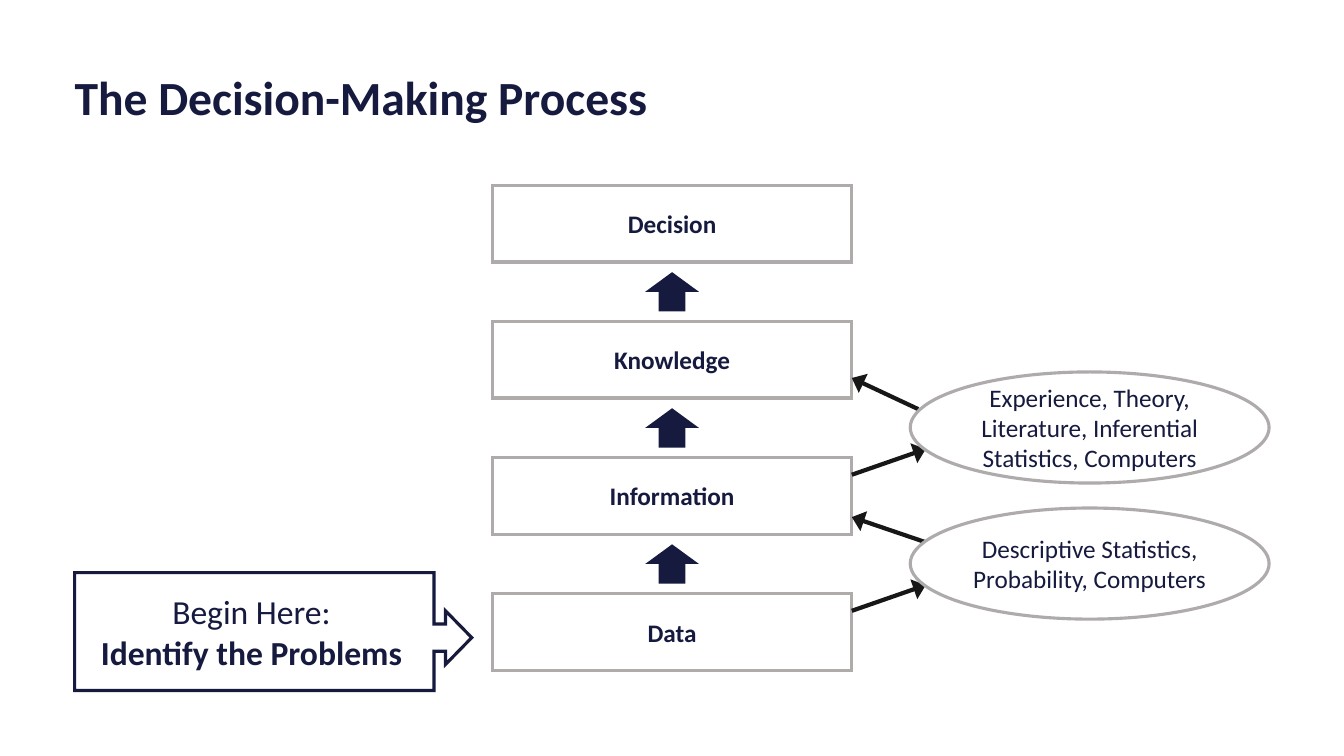
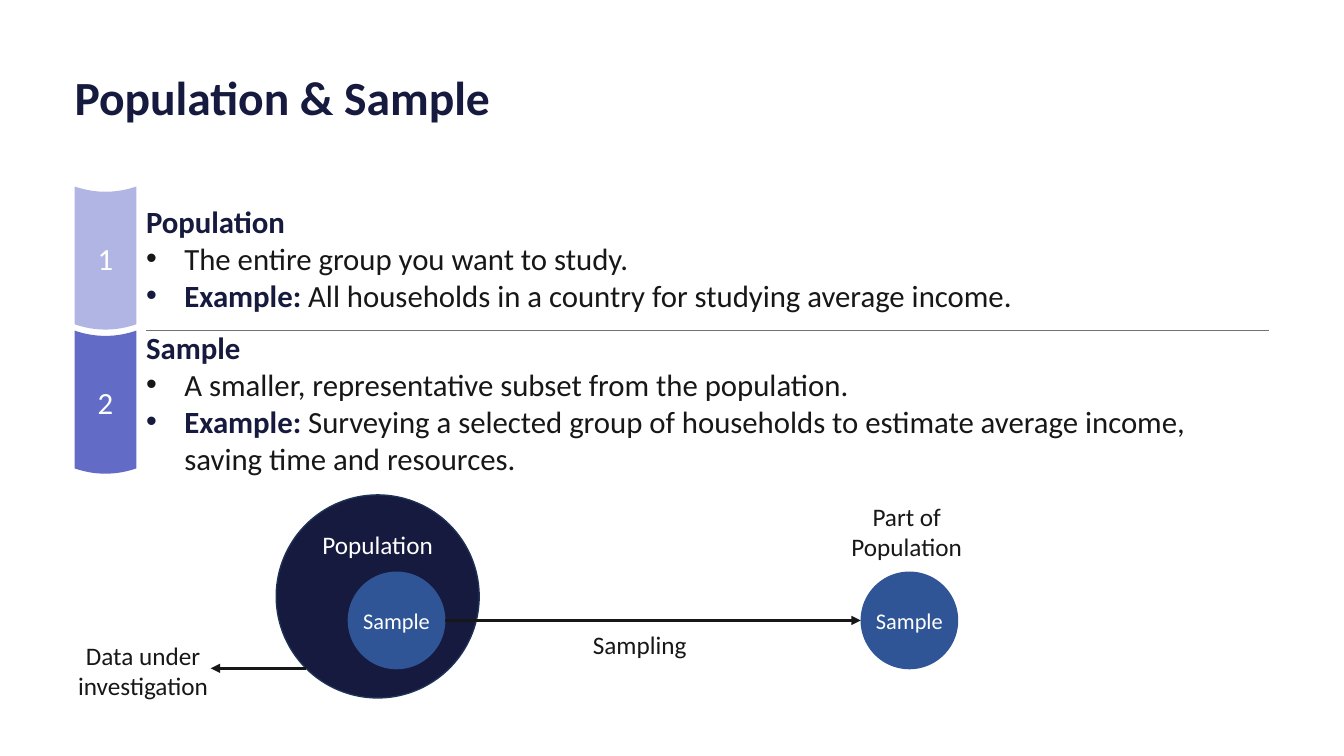
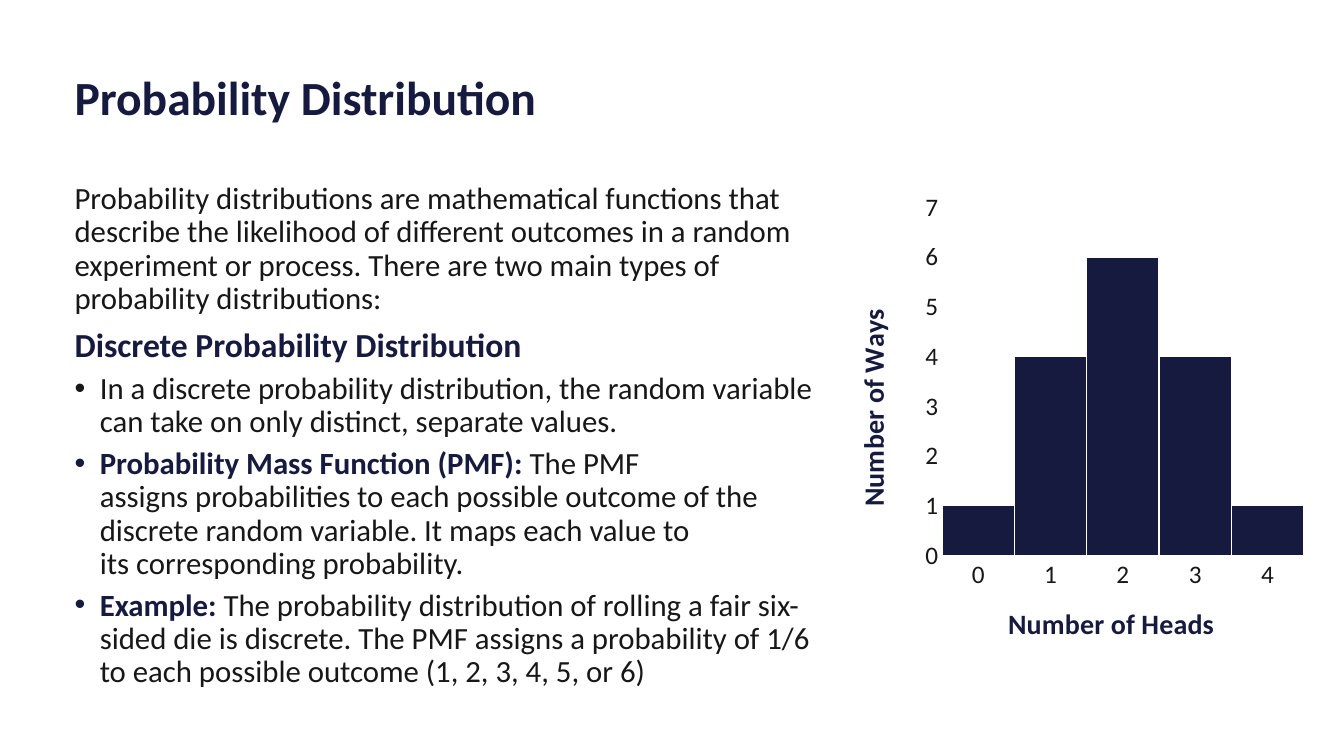
from lxml import etree
from pptx import Presentation
from pptx.chart.data import CategoryChartData
from pptx.dml.color import RGBColor
from pptx.enum.chart import XL_CHART_TYPE, XL_TICK_MARK
from pptx.enum.shapes import MSO_CONNECTOR, MSO_SHAPE
from pptx.enum.text import MSO_ANCHOR, MSO_AUTO_SIZE, PP_ALIGN
from pptx.oxml.ns import qn
from pptx.util import Inches, Pt

FONT = "Calibri"
NAVY = RGBColor(0x16, 0x1A, 0x3E)
INK = RGBColor(0x18, 0x17, 0x17)
WHITE = RGBColor(0xFF, 0xFF, 0xFF)
GREY = RGBColor(0xAF, 0xAB, 0xAB)
RULE = RGBColor(0x76, 0x71, 0x71)
LILAC = RGBColor(0xB0, 0xB5, 0xE3)
VIOLET = RGBColor(0x62, 0x6C, 0xC7)
BLUE = RGBColor(0x2F, 0x55, 0x97)
EDGE = RGBColor(0x1E, 0x32, 0x56)
PALE = RGBColor(0xD0, 0xD3, 0xEE)
ORANGE = RGBColor(0xED, 0x7D, 0x31)
SLATE = RGBColor(0x44, 0x54, 0x6A)

WIDE, HIGH = Inches(13.33), Inches(7.5)
LEFT, TOP, SPAN = 5.55, 24.53, 88.9
TITLE = (LEFT, 8.8, SPAN, 8.93)


def col(n):
    """Length of n columns; the slide is 100 columns wide."""
    return round(WIDE * n / 100)


def row(n):
    """Length of n rows; the slide is 100 rows high."""
    return round(HIGH * n / 100)


def area(box):
    x, y, w, h = box
    return col(x), row(y), col(w), row(h)


def tie(text):
    """Join words with no-break spaces."""
    return text.replace(" ", chr(160))


def style(font, size, color, bold=False):
    font.name, font.size, font.bold = FONT, Pt(size), bold
    font.color.rgb = color


def setup(frame, anchor=MSO_ANCHOR.MIDDLE, wrap=True, inset=0):
    frame.word_wrap = wrap
    frame.auto_size = MSO_AUTO_SIZE.NONE
    frame.vertical_anchor = anchor
    frame.margin_left = frame.margin_right = Inches(2 * inset)
    frame.margin_top = frame.margin_bottom = Inches(inset)


def mark(par, dent):
    """Give the paragraph a bullet hung by dent inches, or none at 0."""
    props = par._p.get_or_add_pPr()
    props.set("marL", str(Inches(dent)))
    props.set("indent", str(-Inches(dent)))
    if dent:
        etree.SubElement(props, qn("a:buFont")).set("typeface", "Arial")
        etree.SubElement(props, qn("a:buChar")).set("char", "•")
    else:
        etree.SubElement(props, qn("a:buNone"))


def write(frame, pars, size, align=PP_ALIGN.CENTER):
    """Write paragraphs, each a list of (text, colour, bold) runs."""
    made = []
    for i, runs in enumerate(pars):
        par = frame.add_paragraph() if i else frame.paragraphs[0]
        par.alignment = align
        for text, color, bold in runs:
            run = par.add_run()
            run.text = text
            style(run.font, size, color, bold)
        made.append(par)
    return made


def paint(shape, fill, line=None, width=1):
    shape.shadow.inherit = False
    shape.fill.solid()
    shape.fill.fore_color.rgb = fill
    if line is None:
        shape.line.fill.background()
    else:
        shape.line.color.rgb, shape.line.width = line, Pt(width)
        etree.SubElement(shape.line._get_or_add_ln(), qn("a:miter")).set("lim", "800000")


def form(slide, kind, box, fill, line=None, width=2.25):
    shape = slide.shapes.add_shape(kind, *area(box))
    paint(shape, fill, line, width)
    setup(shape.text_frame)
    return shape


def trace(slide, points, fill, line=None, width=2.25):
    """Draw a closed outline through points given in columns and rows."""
    first, *rest = [(col(x), row(y)) for x, y in points]
    pen = slide.shapes.build_freeform(*first)
    pen.add_line_segments(rest, close=True)
    shape = pen.convert_to_shape()
    paint(shape, fill, line, width)
    setup(shape.text_frame)
    return shape


def link(slide, start, end, color=INK, width=2.25, head="med"):
    """Draw a line whose arrowhead has the given breadth, or none."""
    line = slide.shapes.add_connector(
        MSO_CONNECTOR.STRAIGHT, col(start[0]), row(start[1]), col(end[0]), row(end[1]))
    line.line.color.rgb, line.line.width = color, Pt(width)
    if head:
        tail = etree.SubElement(line.line._get_or_add_ln(), qn("a:tailEnd"))
        tail.set("type", "triangle")
        tail.set("w", head)
    etree.SubElement(line._element.spPr, qn("a:effectLst"))


def label(slide, box, pars, size=18, align=PP_ALIGN.CENTER, anchor=MSO_ANCHOR.TOP):
    frame = slide.shapes.add_textbox(*area(box)).text_frame
    setup(frame, anchor)
    return write(frame, pars, size, align)


def settle(holder, box):
    holder.left, holder.top, holder.width, holder.height = area(box)


def start(deck, layout, title):
    slide = deck.slides.add_slide(deck.slide_layouts[layout])
    settle(slide.shapes.title, TITLE)
    frame = slide.shapes.title.text_frame
    setup(frame)
    write(frame, [[(title, NAVY, True)]], 34, PP_ALIGN.LEFT)[0].line_spacing = 0.9
    return slide


# Decision process

def tower(slide, box, names, step):
    """Stack named steps with an arrow rising in each gap."""
    x, y, w, h = box
    for i, name in enumerate(names):
        top = y + i * step
        shape = form(slide, MSO_SHAPE.RECTANGLE, (x, top, w, h), WHITE, GREY)
        write(shape.text_frame, [[(name, NAVY, True)]], 18)
        if i:
            rise = (x + w / 2 - 2, top - 6.53, 4, 5.2)
            form(slide, MSO_SHAPE.UP_ARROW, rise, NAVY)


def source(slide, box, text, back):
    """Place an oval and its two arrows to the steps on its left."""
    x, y, w, h = box
    edge = x - 4.35
    link(slide, (edge, y + 13.6), (x + 1.15, y + 10.2), width=3, head="lg")
    link(slide, (x + back[0], y + back[1]), (edge, y + back[2]), width=3, head="lg")
    oval = form(slide, MSO_SHAPE.OVAL, box, WHITE, GREY)
    write(oval.text_frame, [[(text, NAVY, False)]], 18)


def callout(slide, box):
    x, y, w, h = box
    mid, side, neck = y + h / 2 + 0.8, x + w - 2.8, x + w - 1.95
    points = [(x, y), (side, y), (side, mid - 1.8), (neck, mid - 1.8),
              (neck, mid - 3.55), (x + w, mid), (neck, mid + 3.55),
              (neck, mid + 1.8), (side, mid + 1.8), (side, y + h), (x, y + h)]
    frame = trace(slide, points, WHITE, NAVY).text_frame
    frame.margin_right = Inches(0.43)
    write(frame, [[("Begin Here:", NAVY, False)],
                  [("Identify the Problems", NAVY, True)]], 24)


def process(deck):
    slide = start(deck, 5, "The Decision-Making Process")
    step = 18
    names = ["Decision", "Knowledge", "Information", "Data"]
    tower(slide, (36.66, TOP, 26.7, 10.13), names, step)
    callout(slide, (LEFT, 75.75, 29.55, 15.6))
    ovals = [("Descriptive Statistics, Probability, Computers", (1.15, 4.53, 1.2)),
             ("Experience, Theory, Literature, Inferential Statistics, Computers",
              (0.6, 4.93, 0.8))]
    for i, (text, back) in enumerate(ovals):
        source(slide, (67.73, 67.2 - i * step, 26.7, 14.7), text, back)


# Population and sample

def badge(slide, box, text, fill):
    """Draw a ribbon piece whose top and bottom edges sag."""
    x, y, w, h = box
    sag, cuts = 0.7, 16
    curve = [(x + w * i / cuts, y + sag * (1 - (2 * i / cuts - 1) ** 2))
             for i in range(cuts + 1)]
    low = [(a, b + h - sag) for a, b in reversed(curve)]
    shape = trace(slide, curve + low, fill)
    write(shape.text_frame, [[(text, WHITE, False)]], 22)


def term(slide, box, num, fill, name, fact, case):
    x, y, w, h = box
    badge(slide, (x, y, 4.6, h), num, fill)
    pars = [[(name, NAVY, True)], [(fact, INK, False)],
            [("Example: ", NAVY, True), (case, INK, False)]]
    made = label(slide, (x + 5.32, y + 0.67, w - 5.32, 17.6), pars, 22,
                 PP_ALIGN.LEFT, MSO_ANCHOR.MIDDLE)
    for par in made[1:]:
        mark(par, 0.38)


def sampling(slide, box):
    x, y, w, h = box
    whole = form(slide, MSO_SHAPE.OVAL, (x + 15, y, 15.1, h), NAVY, EDGE, 1)
    setup(whole.text_frame, MSO_ANCHOR.TOP, inset=0.05)
    write(whole.text_frame, [[("Population", WHITE, False)]], 18)
    for dx in (20.32, 58.48):
        dot = form(slide, MSO_SHAPE.OVAL, (x + dx, y + 10.13, 7.27, 12.93), BLUE)
        setup(dot.text_frame, wrap=False)
        write(dot.text_frame, [[("Sample", WHITE, False)]], 16)
    link(slide, (x + 27.6, y + 16.6), (x + 58.5, y + 16.6))
    link(slide, (x + 17.2, y + 22.93), (x + 10.13, y + 22.93))
    for dx, dy, rows, text in [(36.98, 17.75, 4, "Sampling"),
                               (0.03, 19.2, 8.13, "Data under investigation"),
                               (56.85, 0.85, 8.13, "Part of Population")]:
        label(slide, (x + dx, y + dy, 10.13, rows), [[(text, INK, False)]])


def groups(deck):
    slide = start(deck, 5, "Population & Sample")
    terms = [("1", LILAC, "Population", "The entire group you want to study.",
              "All households in a country for studying average income."),
             ("2", VIOLET, "Sample",
              "A smaller, representative subset from the population.",
              "Surveying a selected group of households to estimate average income, "
              "saving time and resources.")]
    for i, item in enumerate(terms):
        term(slide, (LEFT, 24.67 + i * 19.07, SPAN, 18.93), *item)
    link(slide, (10.87, 43.73), (LEFT + SPAN, 43.73), RULE, 0.5, head=None)
    sampling(slide, (LEFT, 65.47, SPAN, 26.85))


# Probability distribution

def prose(holder, box):
    settle(holder, box)
    frame = holder.text_frame
    setup(frame, MSO_ANCHOR.TOP)
    pars = [
        [("Probability distributions are mathematical functions that describe the "
          "likelihood of different outcomes in a random experiment or process. "
          "There are two main types of probability distributions:", INK, False)],
        [("Discrete Probability Distribution", NAVY, True)],
        [("In a discrete probability distribution, the " + tie("random variable")
          + " can take on only distinct, " + tie("separate values."), INK, False)],
        [("Probability Mass Function " + tie("(PMF): "), NAVY, True),
         ("The PMF " + tie("assigns probabilities")
          + " to each possible outcome of the " + tie("discrete random")
          + " variable. It maps each value to "
          + tie("its corresponding probability."), INK, False)],
        [("Example: ", NAVY, True),
         ("The probability distribution of rolling a " + tie("fair six-sided")
          + " die is discrete. The PMF assigns a " + tie("probability of")
          + " 1/6 to each possible outcome (1, 2, 3, 4, 5, or 6)", INK, False)]]
    for i, par in enumerate(write(frame, pars, 22, PP_ALIGN.LEFT)):
        mark(par, 0.25 if i > 1 else 0)
        par.line_spacing = 1.0 if i == 1 else 0.9
        par.space_before, par.space_after = Pt(3 if i else 0), Pt(3)
        if i == 1:
            par.runs[0].font.size = Pt(24)


def pin(node, index, **spots):
    """Fix the place of a chart part by shares of the chart's size."""
    for old in node.findall(qn("c:layout")):
        node.remove(old)
    layout = etree.Element(qn("c:layout"))
    manual = etree.SubElement(layout, qn("c:manualLayout"))
    if "w" in spots:
        etree.SubElement(manual, qn("c:layoutTarget")).set("val", "inner")
    for key in "xy":
        etree.SubElement(manual, qn(f"c:{key}Mode")).set("val", "edge")
    for key, value in spots.items():
        etree.SubElement(manual, qn(f"c:{key}")).set("val", str(value))
    node.insert(index, layout)


def scale(axis, title, line, tick, x, y, turn=0):
    axis.has_major_gridlines = False
    axis.major_tick_mark, axis.minor_tick_mark = tick, XL_TICK_MARK.NONE
    axis.format.line.color.rgb, axis.format.line.width = line, Pt(0.75)
    style(axis.tick_labels.font, 18, INK)
    frame = axis.axis_title.text_frame
    write(frame, [[(title, NAVY, True)]], 20)
    node = axis.axis_title.element
    node.find(".//" + qn("a:bodyPr")).set("rot", str(turn * 60000))
    pin(node, 1, x=x, y=y)


def heads(slide, box):
    data = CategoryChartData()
    data.categories = ["0", "1", "2", "3", "4"]
    data.add_series("Series 1", (1, 4, 6, 4, 1))
    for name in ("Series 2", "Series 3"):
        data.add_series(name, [None] * 5)
    chart = slide.shapes.add_chart(XL_CHART_TYPE.COLUMN_STACKED, *area(box), data).chart
    chart.has_legend = chart.has_title = False
    style(chart.font, 10, NAVY)
    plot = chart.plots[0]
    plot.gap_width, plot.overlap, plot.vary_by_categories = 0, 100, False
    for bars, color in zip(plot.series, (NAVY, ORANGE, SLATE)):
        bars.format.fill.solid()
        bars.format.fill.fore_color.rgb = color
    edge = plot.series[0].format.line
    edge.color.rgb, edge.width = WHITE, Pt(1)
    ways = chart.value_axis
    ways.minimum_scale, ways.maximum_scale, ways.major_unit = 0, 7, 1
    scale(chart.category_axis, "Number of Heads", PALE, XL_TICK_MARK.INSIDE, 0.34, 0.86)
    scale(ways, "Number of Ways", WHITE, XL_TICK_MARK.NONE, 0.01, 0.25, -90)
    pin(chart.element.find(".//" + qn("c:plotArea")), 0, x=0.21, y=0.05, w=0.77, h=0.72)


def spread(deck):
    slide = start(deck, 1, "Probability Distribution")
    prose(slide.placeholders[1], (LEFT, 24.2, 56.8, 66.27))
    heads(slide, (62.75, 24.2, 34.95, 64))


def main():
    deck = Presentation()
    deck.slide_width, deck.slide_height = WIDE, HIGH
    for build in (process, groups, spread):
        build(deck)
    deck.save("out.pptx")


if __name__ == "__main__":
    main()
